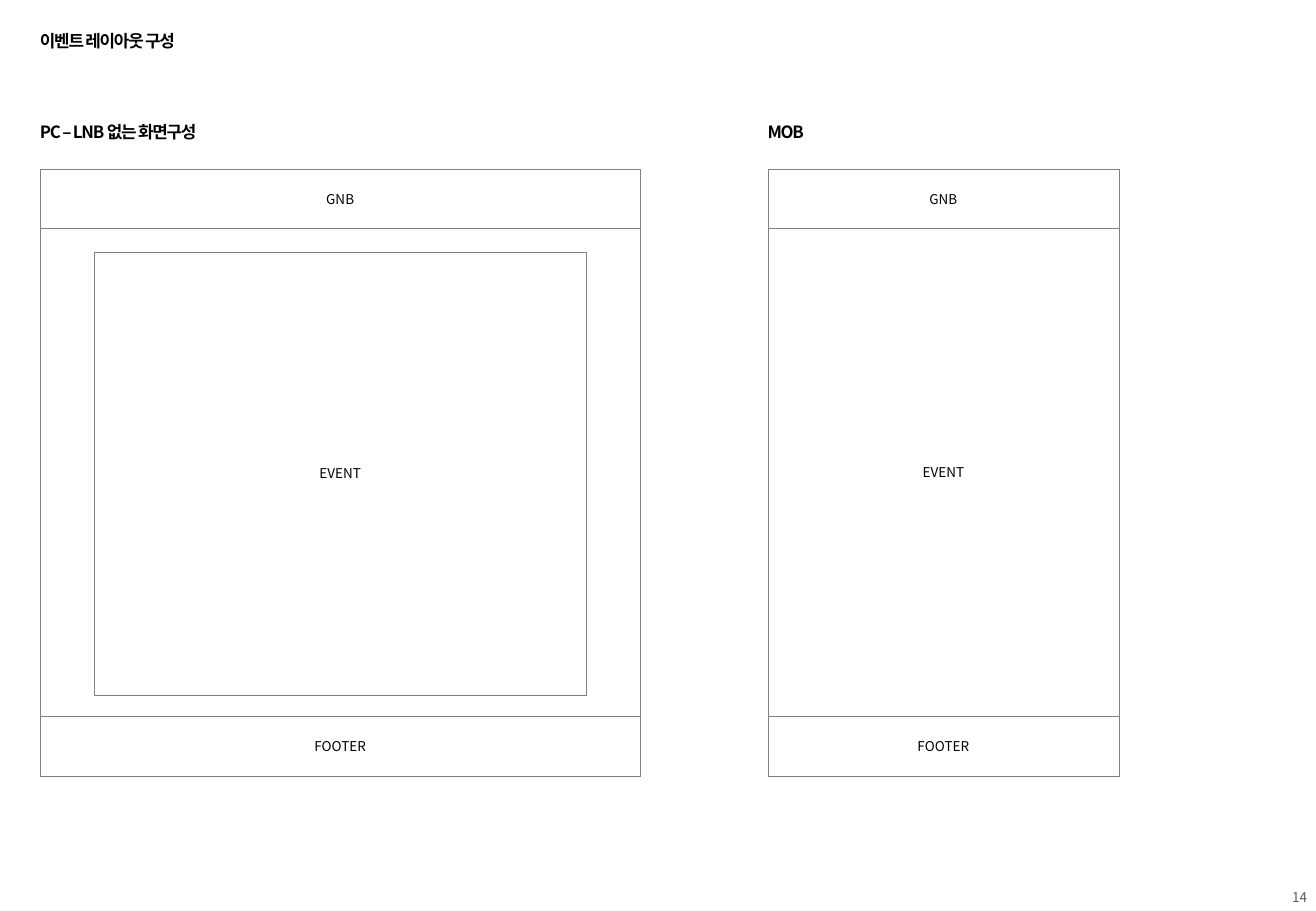
"""Builds a slide that shows the event page layout for PC and mobile."""
from lxml.etree import SubElement
from pptx import Presentation
from pptx.dml.color import RGBColor
from pptx.enum.shapes import MSO_SHAPE as Shape
from pptx.enum.text import MSO_ANCHOR as Anchor, MSO_AUTO_SIZE as AutoSize, PP_ALIGN as Align
from pptx.oxml.ns import qn
from pptx.util import Pt

FONT = "Noto Sans CJK KR"
BLACK = RGBColor(0x00, 0x00, 0x00)
WHITE = RGBColor(0xFF, 0xFF, 0xFF)
LINE_GRAY = RGBColor(0x80, 0x80, 0x80)
NUMBER_GRAY = RGBColor(0x59, 0x59, 0x59)

FRAME_TOP = 100.1
FRAME_HEIGHT = 360
BAND_HEIGHT = 35.4
HEADING_TOP = 68.4
HEADING_INSET = 7.2


def write(frame, text, size=8, color=BLACK, bold=False, align=Align.LEFT,
          anchor=Anchor.TOP, before=0, spacing=0):
    frame.vertical_anchor = anchor
    para = frame.paragraphs[0]
    para.alignment = align
    para.space_before = Pt(before)
    span = para.add_run()
    span.text = text
    span.font.name = FONT
    span.font.size = Pt(size)
    span.font.bold = bold
    span.font.color.rgb = color
    properties = span._r.get_or_add_rPr()
    properties.set("spc", str(round(spacing * 100)))
    SubElement(properties, qn("a:ea"), typeface=FONT)


def add_label(page, text, left, top, width, height, wrap=False, **style):
    box = page.shapes.add_textbox(Pt(left), Pt(top), Pt(width), Pt(height))
    box.text_frame.word_wrap = wrap
    box.text_frame.auto_size = AutoSize.SHAPE_TO_FIT_TEXT
    write(box.text_frame, text, **style)


def add_heading(page, text, left, top, width):
    add_label(page, text, left, top, width, 19.4, size=10, bold=True, before=5, spacing=-0.7)


def add_area(page, left, top, width, height, text=None):
    area = page.shapes.add_shape(Shape.RECTANGLE, Pt(left), Pt(top), Pt(width), Pt(height))
    area.shadow.inherit = False
    area.fill.solid()
    area.fill.fore_color.rgb = WHITE
    area.line.color.rgb = LINE_GRAY
    area.line.width = Pt(0.25)
    if text:
        write(area.text_frame, text, align=Align.CENTER, anchor=Anchor.MIDDLE)


def add_layout(page, heading, heading_width, left, width, side_gap=0, top_gap=0, bottom_gap=0):
    event_top = FRAME_TOP + BAND_HEIGHT
    footer_top = FRAME_TOP + FRAME_HEIGHT - BAND_HEIGHT
    add_heading(page, heading, left - HEADING_INSET, HEADING_TOP, heading_width)
    add_area(page, left, FRAME_TOP, width, FRAME_HEIGHT)
    add_area(page, left, FRAME_TOP, width, BAND_HEIGHT, "GNB")
    add_area(page, left, footer_top, width, BAND_HEIGHT, "FOOTER")
    add_area(page, left + side_gap, event_top + top_gap, width - 2 * side_gap,
             footer_top - event_top - top_gap - bottom_gap, "EVENT")


def main():
    deck = Presentation()
    deck.slide_width = Pt(780)
    deck.slide_height = Pt(540)
    page = deck.slides.add_slide(deck.slide_layouts[6])
    add_label(page, "14", 727.2, 523.2, 54.7, 17.3, wrap=True, color=NUMBER_GRAY,
              align=Align.RIGHT, anchor=Anchor.MIDDLE)
    add_heading(page, "이벤트 레이아웃 구성", 16.6, 14.4, 104.4)
    add_layout(page, "PC – LNB 없는 화면구성", 115.2, 23.8, 355.7,
               side_gap=32.2, top_gap=13.8, bottom_gap=12.6)
    add_layout(page, "MOB", 38.9, 455.1, 208.1)
    deck.save("out.pptx")


if __name__ == "__main__":
    main()
